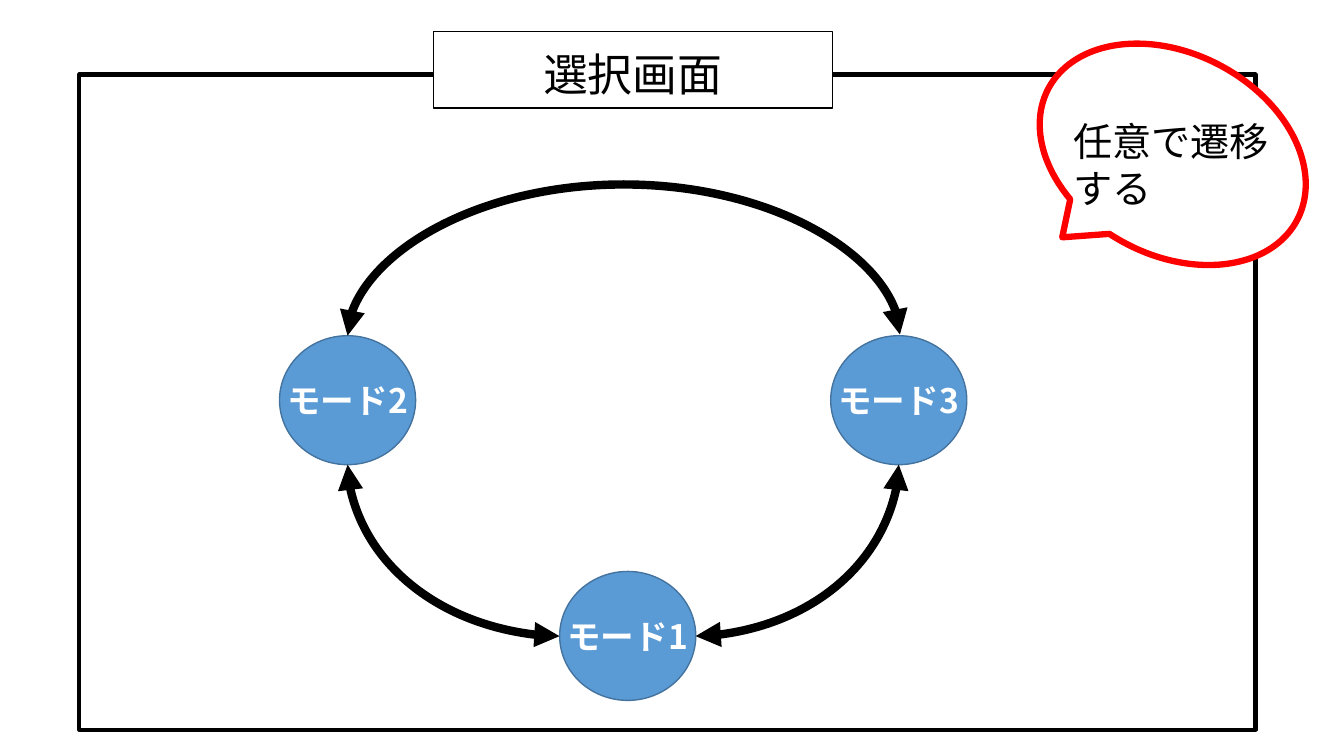
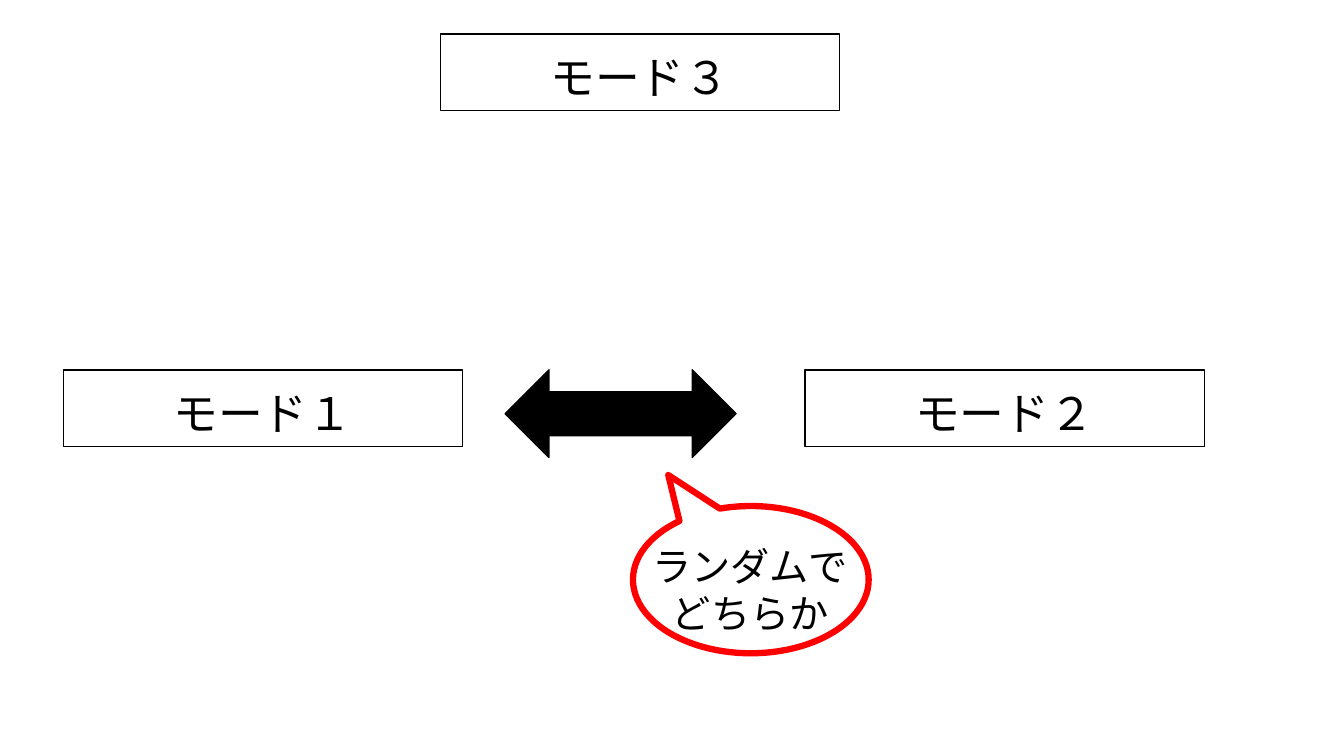
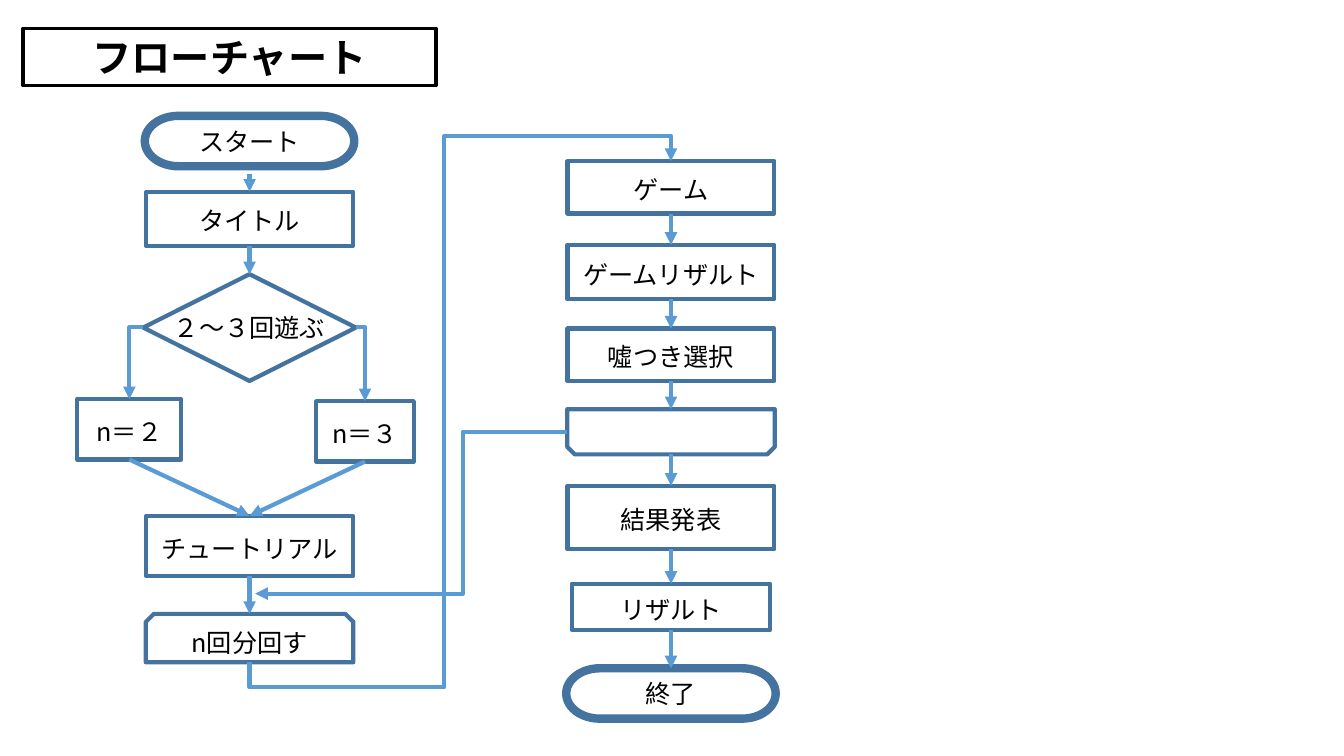
from lxml import etree
from pptx import Presentation
from pptx.dml.color import RGBColor
from pptx.enum import shapes, text
from pptx.oxml.ns import qn
from pptx.util import Cm, Pt

FONT = "Noto Sans CJK JP"
BLACK, WHITE, RED = "000000", "FFFFFF", "FF0000"
BLUE, DARK_BLUE = "5B9BD5", "43739E"
KIND = shapes.MSO_SHAPE
rgb = RGBColor.from_string


def style(sp, label="", size=18, fill=WHITE, line=BLACK, width=1.0,
          color=BLACK, bold=False, wrap=False, center=True, drop=0):
    """Format outline, fill and text; drop is the extra top inset in cm."""
    sp.shadow.inherit = False
    if fill:
        sp.fill.solid()
        sp.fill.fore_color.rgb = rgb(fill)
    else:
        sp.fill.background()
    if line:
        sp.line.color.rgb = rgb(line)
        sp.line.width = Pt(width)
    else:
        sp.line.fill.background()
    tf = sp.text_frame
    tf.auto_size = text.MSO_AUTO_SIZE.NONE
    tf.word_wrap = wrap
    tf.vertical_anchor = text.MSO_ANCHOR.MIDDLE
    tf.margin_top, tf.margin_bottom = Cm(drop), 0
    if not label:
        return
    tf.text = label
    for p in tf.paragraphs:
        p.alignment = text.PP_ALIGN.CENTER if center else text.PP_ALIGN.LEFT
        p.line_spacing = 1.0
        for r in p.runs:
            r.font.name, r.font.size, r.font.bold = FONT, Pt(size), bold
            r.font.color.rgb = rgb(color)
            etree.SubElement(r.font._element, qn("a:ea"), typeface=FONT)


def arrow(s, begin, end, preset="line", turns=0, adj=(),
          color=BLUE, width=3, both=False):
    """Join two points in cm; turns counts the quarter turns of the preset."""
    (x1, y1), (x2, y2) = begin, end
    mx, my, dx, dy = (x1 + x2) / 2, (y1 + y2) / 2, (x2 - x1) / 2, (y2 - y1) / 2
    for _ in range(turns):
        dx, dy = dy, -dx
    c = s.shapes.add_connector(shapes.MSO_CONNECTOR.STRAIGHT, Cm(mx - dx),
                               Cm(my - dy), Cm(mx + dx), Cm(my + dy))
    c.line.color.rgb = rgb(color)
    c.line.width = Pt(width)
    pr = c.element.spPr
    if turns:
        pr.find(qn("a:xfrm")).set("rot", str(turns * 5400000))
    geom = pr.find(qn("a:prstGeom"))
    geom.set("prst", preset)
    for i, value in enumerate(adj, 1):
        etree.SubElement(geom.find(qn("a:avLst")), qn("a:gd"),
                         name=f"adj{i}", fmla=f"val {value}")
    ln = pr.find(qn("a:ln"))
    for tag in ("a:headEnd", "a:tailEnd")[0 if both else 1:]:
        etree.SubElement(ln, qn(tag), type="triangle")
    etree.SubElement(pr, qn("a:effectLst"))


prs = Presentation()
prs.slide_width, prs.slide_height = Cm(33.87), Cm(19.05)

BOX_W, BOX_H = 10.06, 1.93
mode_box = dict(size=32, drop=0.2)
slides = []
for label, at, look in [
    ("選択画面", (10.92, 0.79, BOX_W, BOX_H), mode_box),
    ("モード３", (11.1, 0.86, BOX_W, BOX_H), mode_box),
    ("フローチャート", (0.58, 0.71, 10.41, 1.45),
     dict(size=28, bold=True, width=2.25)),
]:
    s = prs.slides.add_slide(prs.slide_layouts[5])
    title = s.shapes.title
    title.left, title.top, title.width, title.height = map(Cm, at)
    style(title, label, **look)
    slides.append(s)
select, random_modes, flow = slides

# Selection screen
frame = select.shapes.add_shape(KIND.RECTANGLE, Cm(2), Cm(1.88), Cm(29.64), Cm(16.51))
style(frame, fill=None, width=3)
title = select.shapes.title.element
title.getparent().append(title)  # the title covers the frame's edge

D_W, D_H = 3.43, 3.25
for label, x, y in [("モード2", 8.76, 8.46), ("モード1", 15.82, 14.4),
                    ("モード3", 22.65, 8.46)]:
    sp = select.shapes.add_shape(KIND.OVAL, Cm(x - D_W / 2), Cm(y), Cm(D_W), Cm(D_H))
    style(sp, label, 24, BLUE, DARK_BLUE, color=WHITE, bold=True)

curve = dict(color=BLACK, width=6, both=True)
arrow(select, (8.76, 8.46), (22.68, 8.43), "curvedConnector3", 1, [12700000], **curve)
arrow(select, (14.1, 16.03), (8.76, 11.71), "curvedConnector2", 2, **curve)
arrow(select, (22.65, 11.71), (17.53, 16.03), "curvedConnector2", 1, **curve)

# Random modes
for label, x in [("モード１", 1.6), ("モード２", 20.29)]:
    sp = random_modes.shapes.add_shape(KIND.RECTANGLE, Cm(x), Cm(9.32), Cm(BOX_W), Cm(BOX_H))
    style(sp, label, **mode_box)
sp = random_modes.shapes.add_shape(KIND.LEFT_RIGHT_ARROW, Cm(12.73), Cm(9.32), Cm(5.82), Cm(2.21))
style(sp, fill=BLACK)

# Callouts: the balloons are turned, their text stays upright
for s, balloon, angle, adj, label, at, center in [
    (select, (26.01, 1.35, 7.09, 5.08), 27.8, (-0.21, 0.62),
     "任意で遷移する", (26.8, 2.57, 5.51, 3.12), False),
    (random_modes, (15.95, 12.75, 5.94, 3.71), 180, (0.35, 0.71),
     "ランダムで\nどちらか", (16.15, 13.28, 5.51, 3.12), True),
]:
    sp = s.shapes.add_shape(KIND.OVAL_CALLOUT, *map(Cm, balloon))
    sp.rotation = angle
    sp.adjustments[0], sp.adjustments[1] = adj
    style(sp, line=RED, width=4.5)
    style(s.shapes.add_textbox(*map(Cm, at)), label, 28, None, None,
          wrap=True, center=center)

# Flowchart: kind, label, centre x, top, width, height
LEFT, RIGHT = 6.29, 16.91
PROCESS, END, LOOP = KIND.FLOWCHART_PROCESS, KIND.FLOWCHART_TERMINATOR, KIND.SNIP_2_SAME_RECTANGLE
left_steps = [
    (END, "スタート", LEFT, 2.92, 5.28, 1.27),
    (PROCESS, "タイトル", LEFT, 4.83, 5.21, 1.37),
    (KIND.FLOWCHART_DECISION, "２～３回遊ぶ", LEFT, 6.91, 5.36, 2.69),
    (PROCESS, "n＝２", 3.26, 10.06, 2.62, 1.52),
    (PROCESS, "n＝３", 9.2, 10.11, 2.46, 1.52),
    (PROCESS, "チュートリアル", LEFT, 13, 5.21, 1.52),
    (LOOP, "n回分回す", LEFT, 15.47, 5.23, 1.22),
]
right_steps = [
    (PROCESS, "ゲーム", RIGHT, 4.06, 5.21, 1.32),
    (PROCESS, "ゲームリザルト", RIGHT, 6.17, 5.21, 1.37),
    (PROCESS, "噓つき選択", RIGHT, 8.28, 5.21, 1.32),
    (LOOP, "", RIGHT, 10.31, 5.23, 1.14),
    (PROCESS, "結果発表", RIGHT, 12.24, 5.21, 1.6),
    (PROCESS, "リザルト", RIGHT, 14.71, 5, 1.17),
    (END, "終了", RIGHT, 16.84, 5.28, 1.27),
]
for kind, label, x, y, w, h in left_steps + right_steps:
    sp = flow.shapes.add_shape(kind, Cm(x - w / 2), Cm(y), Cm(w), Cm(h))
    plain = kind in (END, KIND.FLOWCHART_DECISION)
    style(sp, label, line=DARK_BLUE, width=6 if kind == END else 3,
          drop=0 if plain else 0.1)
    if kind == LOOP and not label:
        sp.rotation = 180

for (_, _, x, y, _, h), (_, _, _, below, _, _) in zip(right_steps, right_steps[1:]):
    arrow(flow, (x, y + h), (x, below))
for begin, end in [
    ((LEFT, 4.39), (LEFT, 4.83)),
    ((LEFT, 6.2), (LEFT, 6.91)),
    ((3.26, 11.58), (LEFT, 13)),
    ((9.2, 11.63), (LEFT, 13)),
    ((LEFT, 14.52), (LEFT, 15.47)),
]:
    arrow(flow, begin, end)
arrow(flow, (8.97, 8.25), (9.2, 10.11), "bentConnector2")
arrow(flow, (3.61, 8.25), (3.26, 10.06), "bentConnector2", 2)
arrow(flow, (LEFT, 16.69), (RIGHT, 4.06), "bentConnector5", 1, [-5000, 46200, 105000])
arrow(flow, (14.3, 10.88), (6.43, 14.96), "bentConnector3", 2, [33500])

prs.save("out.pptx")
